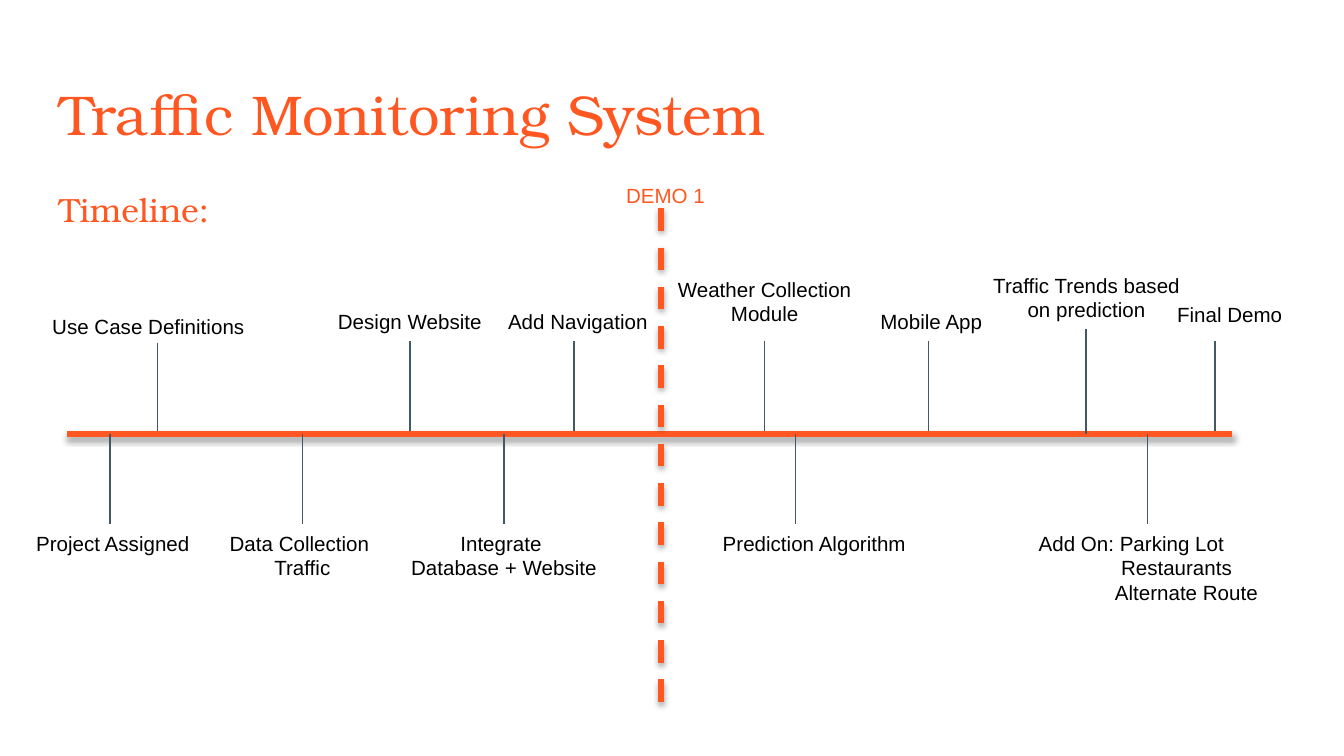
from dataclasses import dataclass

from lxml import etree
from pptx import Presentation
from pptx import util as u
from pptx.dml.color import RGBColor
from pptx.enum import dml, shapes, text
from pptx.oxml import ns


@dataclass(frozen=True)
class Theme:
    accent: str = "FF5722"
    stem: str = "435863"
    ink: str = "000000"
    paper: str = "FFFFFF"
    heading_font: str = "TeX Gyre Bonum"
    body_font: str = "Arial"
    title_size: int = 30
    subtitle_size: int = 18
    label_size: int = 11
    axis_width: float = 3
    stem_width: float = 0.75


THEME = Theme()
COLUMNS = 100
ROWS = 56.25
CELL = u.Inches(0.1)
AXIS_ROW = 32.3
BELOW_ROW = 39
LINE_ROWS = 1.85
PADDING_ROWS = 1

ABOVE = [
    ("Use Case Definitions", 11.7, 11.7, 22.9, 17.6, 1, 25.5),
    ("Design Website", 30.5, 30.5, 22.5, 17.6, 1, 25.4),
    ("Add Navigation", 42.7, 43, 22.5, 17.6, 1, 25.4),
    ("Weather Collection Module", 56.9, 56.9, 20.1, 17.6, 2, 25.4),
    ("Mobile App", 69.1, 69.3, 22.5, 17.6, 1, 25.4),
    ("Traffic Trends based on prediction", 80.8, 80.85, 19.8, 16.7, 2, 24.5),
    ("Final Demo", 90.4, 91.5, 22, 24.6, 1, 25.4),
]
BELOW = [
    (["Project Assigned"], 8.2, 8.65, 13.9),
    (["Data Collection ", "Traffic"], 22.5, 22.5, 17.6),
    (["Integrate \vDatabase + Website"], 37.5, 37.5, 17.6),
    (["Prediction Algorithm"], 59.2, 60.6, 17.6),
    (["Add On: Parking Lot ", "Restaurants", "Alternate Route "], 85.4, 84.4, 24.6),
]
ADD_ON_INDENTS = [0, 6.3, 8.2]
LEFT_ALIGNED = {"Project Assigned", "Use Case Definitions", "DEMO 1"}


def cells(count):
    return round(count * CELL)


def colour(name):
    return RGBColor.from_string(name)


def style(para, font, size, tone):
    para.font.name = font
    para.font.size = u.Pt(size)
    para.font.color.rgb = colour(tone)


def place(box, left, top, width, height):
    box.left, box.top, box.width, box.height = map(cells, (left, top, width, height))


def set_heading(box, words, size):
    frame = box.text_frame
    frame.word_wrap = True
    frame.auto_size = text.MSO_AUTO_SIZE.NONE
    frame.vertical_anchor = text.MSO_ANCHOR.TOP
    frame.margin_left = frame.margin_right = cells(1)
    frame.margin_top = frame.margin_bottom = cells(1)
    frame.text = words
    para = frame.paragraphs[0]
    para.alignment = text.PP_ALIGN.LEFT
    style(para, THEME.heading_font, size, THEME.accent)
    return para


def add_label(page, lines, centre, top, width, rows, tone=THEME.ink, indents=()):
    height = PADDING_ROWS + rows * LINE_ROWS
    box = page.shapes.add_textbox(*map(cells, (centre - width / 2, top, width, height)))
    frame = box.text_frame
    frame.word_wrap = True
    frame.auto_size = text.MSO_AUTO_SIZE.SHAPE_TO_FIT_TEXT
    frame.text = "\n".join(lines)
    left = lines[0] in LEFT_ALIGNED
    for para in frame.paragraphs:
        para.alignment = text.PP_ALIGN.LEFT if left else text.PP_ALIGN.CENTER
        style(para, THEME.body_font, THEME.label_size, tone)
    for para, indent in zip(frame.paragraphs, indents):
        para._p.get_or_add_pPr().set("marL", str(cells(indent)))


def add_line(page, start, end, tone, width, shadow=False, dash=False):
    line = page.shapes.add_connector(
        shapes.MSO_CONNECTOR.STRAIGHT, *map(cells, (*start, *end)))
    line.line.color.rgb = colour(tone)
    line.line.width = u.Pt(width)
    if dash:
        line.line.dash_style = dml.MSO_LINE.DASH
    effects = etree.SubElement(line._element.spPr, ns.qn("a:effectLst"))
    if shadow:
        outer = etree.SubElement(effects, ns.qn("a:outerShdw"), blurRad="40000",
                                 dist="23000", dir="5400000", rotWithShape="0")
        black = etree.SubElement(outer, ns.qn("a:srgbClr"), val=THEME.ink)
        etree.SubElement(black, ns.qn("a:alpha"), val="35000")


def add_stem(page, column, top, bottom):
    add_line(page, (column, top), (column, bottom), THEME.stem, THEME.stem_width)


def add_headings(page):
    title = page.shapes.title
    place(title, 3.4, 4.9, 93.2, 6.3)
    set_heading(title, "Traffic Monitoring System", THEME.title_size)
    box = page.shapes.add_textbox(*map(cells, (3.4, 12.6, 93.2, 37.4)))
    para = set_heading(box, "Timeline:", THEME.subtitle_size)
    para.line_spacing = 1.15
    para.space_after = u.Pt(16)


def add_milestones(page):
    for words, stem, centre, top, width, rows, stem_top in ABOVE:
        add_stem(page, stem, stem_top, AXIS_ROW if rows == 2 and stem > 80 else 32.1)
        add_label(page, [words], centre, top, width, rows)
    for lines, stem, centre, width in BELOW:
        add_stem(page, stem, AXIS_ROW, BELOW_ROW)
        rows = len("\v".join(lines).split("\v"))
        indents = ADD_ON_INDENTS if rows == 3 else ()
        add_label(page, lines, centre, BELOW_ROW, width, rows, indents=indents)


def main():
    deck = Presentation()
    deck.slide_width, deck.slide_height = cells(COLUMNS), cells(ROWS)
    page = deck.slides.add_slide(deck.slide_layouts[5])
    page.background.fill.solid()
    page.background.fill.fore_color.rgb = colour(THEME.paper)
    add_headings(page)
    add_line(page, (5, AXIS_ROW), (91.7, AXIS_ROW), THEME.accent,
             THEME.axis_width, shadow=True)
    add_milestones(page)
    add_line(page, (49.2, 15.5), (49.2, 52.3), THEME.accent,
             THEME.axis_width, shadow=True, dash=True)
    add_label(page, ["DEMO 1"], 50.3, 13.1, 9.4, 1, THEME.accent)
    deck.save("out.pptx")


main()
